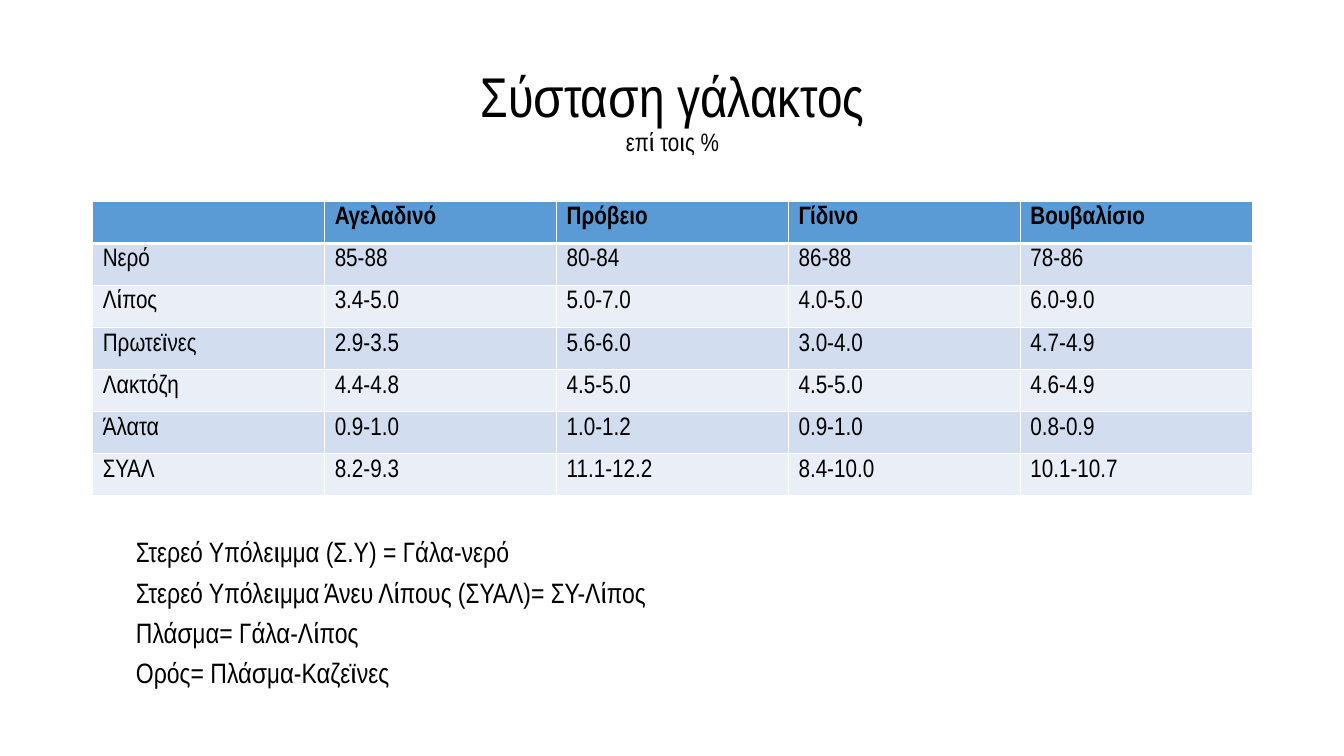
from dataclasses import dataclass

from lxml.etree import SubElement
from pptx import Presentation
from pptx.dml.color import RGBColor
from pptx.enum.text import MSO_ANCHOR, MSO_AUTO_SIZE, PP_ALIGN
from pptx.oxml.ns import qn
from pptx.util import Inches, Pt


@dataclass(frozen=True)
class Theme:
    font: str = "Arial Narrow"
    text: str = "000000"
    border: str = "FFFFFF"
    header: str = "5B9BD5"
    bands: tuple[str, str] = ("D2DEEF", "EAEFF7")
    title_size: int = 40
    body_size: int = 18
    definition_size: int = 20
    thin: int = 1
    thick: int = 3


@dataclass(frozen=True)
class Run:
    text: str
    size: int
    bold: bool = False


@dataclass(frozen=True)
class Box:
    left: float
    top: float
    width: float
    height: float

    def lengths(self) -> list:
        return [Inches(v) for v in (self.left, self.top, self.width, self.height)]


THEME = Theme()
MILK_TABLE = [
    ("", "Αγελαδινό", "Πρόβειο", "Γίδινο", "Βουβαλίσιο"),
    ("Νερό", "85-88", "80-84", "86-88", "78-86"),
    ("Λίπος", "3.4-5.0", "5.0-7.0", "4.0-5.0", "6.0-9.0"),
    ("Πρωτεϊνες", "2.9-3.5", "5.6-6.0", "3.0-4.0", "4.7-4.9"),
    ("Λακτόζη", "4.4-4.8", "4.5-5.0", "4.5-5.0", "4.6-4.9"),
    ("Άλατα", "0.9-1.0", "1.0-1.2", "0.9-1.0", "0.8-0.9"),
    ("ΣΥΑΛ", "8.2-9.3", "11.1-12.2", "8.4-10.0", "10.1-10.7"),
]
DEFINITIONS = [
    "Στερεό Υπόλειμμα (Σ.Υ) = Γάλα-νερό",
    "Στερεό Υπόλειμμα Άνευ Λίπους (ΣΥΑΛ)= ΣΥ-Λίπος",
    "Πλάσμα= Γάλα-Λίπος",
    "Ορός= Πλάσμα-Καζεϊνες",
]


def apply(target, formats: dict) -> None:
    for name, value in formats.items():
        setattr(target, name, value)


def add_run(paragraph, content: Run) -> None:
    run = paragraph.add_run()
    run.text = content.text
    apply(run.font, {"name": THEME.font, "size": Pt(content.size), "bold": content.bold})
    run.font.color.rgb = RGBColor.from_string(THEME.text)


def add_text(slide, box: Box, paragraphs: list[list[Run]],
             frame_formats: dict, paragraph_formats: dict) -> None:
    """Each paragraph is a list of runs, one per line."""
    frame = slide.shapes.add_textbox(*box.lengths()).text_frame
    apply(frame, {"word_wrap": True} | frame_formats)
    for index, runs in enumerate(paragraphs):
        paragraph = frame.add_paragraph() if index else frame.paragraphs[0]
        apply(paragraph, paragraph_formats)
        for line, run in enumerate(runs):
            if line:
                paragraph.add_line_break()
            add_run(paragraph, run)


def set_borders(cell, widths: dict[str, int]) -> None:
    properties = cell._tc.get_or_add_tcPr()
    for side, width in widths.items():
        edge = SubElement(properties, qn(f"a:ln{side}"), w=str(Pt(width)))
        fill = SubElement(edge, qn("a:solidFill"))
        SubElement(fill, qn("a:srgbClr"), val=THEME.border)


def add_milk_table(slide, box: Box, rows: list[tuple[str, ...]]) -> None:
    column_count = len(rows[0])
    table = slide.shapes.add_table(len(rows), column_count, *box.lengths()).table
    for column in table.columns:
        column.width = Inches(box.width / column_count)
    for r, values in enumerate(rows):
        table.rows[r].height = Inches(box.height / len(rows))
        color = THEME.bands[(r - 1) % 2] if r else THEME.header
        # The edge under the header is shared by the first two rows
        widths = {
            "L": THEME.thin,
            "R": THEME.thin,
            "T": THEME.thick if r == 1 else THEME.thin,
            "B": THEME.thick if r == 0 else THEME.thin,
        }
        for c, value in enumerate(values):
            cell = table.cell(r, c)
            set_borders(cell, widths)
            cell.fill.solid()
            cell.fill.fore_color.rgb = RGBColor.from_string(color)
            if value:
                add_run(cell.text_frame.paragraphs[0],
                        Run(value, THEME.body_size, bold=r == 0))


def main() -> None:
    deck = Presentation()
    apply(deck, {"slide_width": Inches(13.33), "slide_height": Inches(7.5)})
    slide = deck.slides.add_slide(deck.slide_layouts[6])

    # Title with its unit line
    heading = [Run("Σύσταση γάλακτος", THEME.title_size),
               Run("επί τοις %", THEME.body_size)]
    add_text(slide, Box(0.92, 0.4, 11.5, 1.45), [heading],
             {"vertical_anchor": MSO_ANCHOR.MIDDLE},
             {"alignment": PP_ALIGN.CENTER, "line_spacing": 0.9})

    # Composition by kind of milk
    add_milk_table(slide, Box(0.92, 2, 11.5, 2.92), MILK_TABLE)

    # Definitions
    add_text(slide, Box(1.25, 5.19, 10.92, 1.72),
             [[Run(text, THEME.definition_size)] for text in DEFINITIONS],
             {"auto_size": MSO_AUTO_SIZE.SHAPE_TO_FIT_TEXT},
             {"line_spacing": 1.2})

    deck.save("out.pptx")


if __name__ == "__main__":
    main()
